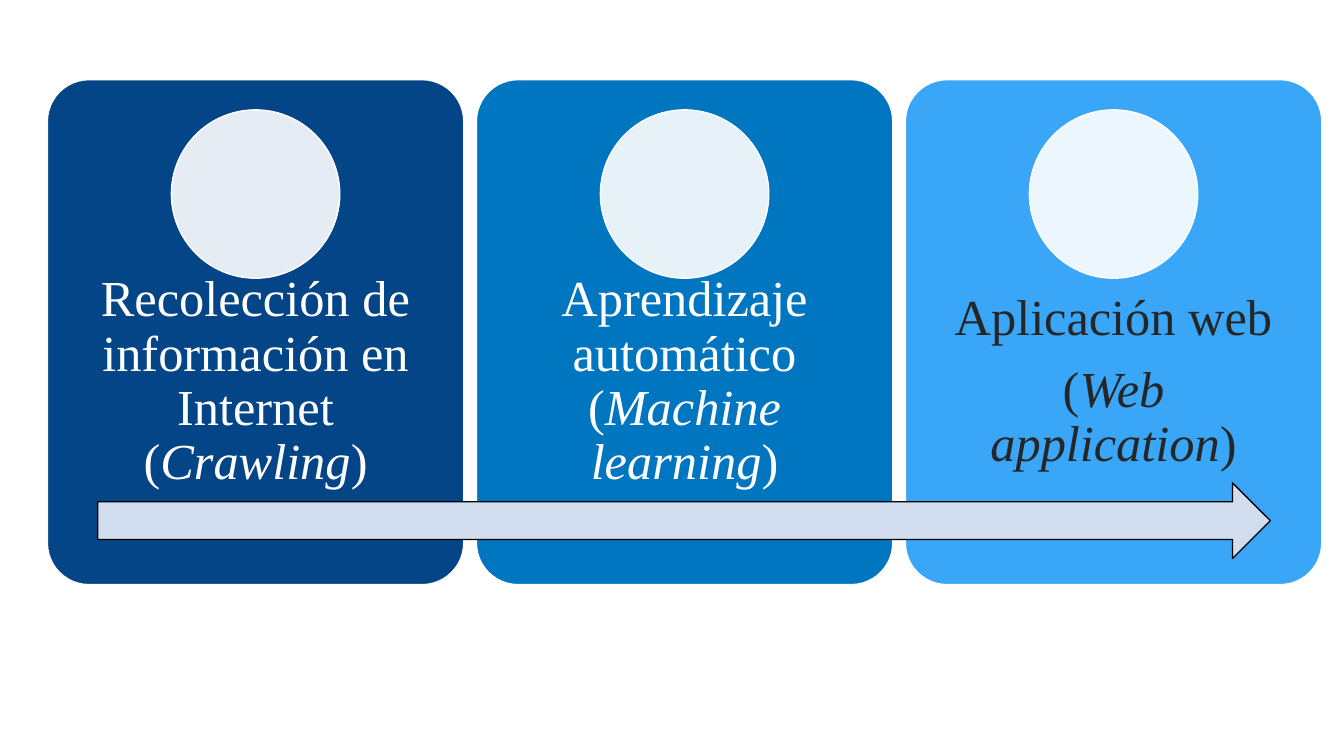
from dataclasses import dataclass

from lxml import etree
from pptx import Presentation
from pptx import util as u
from pptx.dml.color import RGBColor
from pptx.enum import shapes, text
from pptx.oxml.ns import qn


@dataclass(frozen=True)
class Theme:
    font: str = "Times New Roman"
    size: int = 36
    gap: float = 12.6
    white: str = "FFFFFF"
    dark: str = "262626"
    black: str = "000000"
    navy: str = "034587"
    blue: str = "0076C1"
    sky: str = "3AA6F8"
    pale: str = "D2DEEF"


THEME = Theme()
KIND = shapes.MSO_SHAPE

# Each step: card fill, text colour, paragraphs of (text, italic) runs
STEPS = [
    (THEME.navy, THEME.white,
     [[("Recolección de información en Internet (", False),
       ("Crawling", True), (")", False)]]),
    (THEME.blue, THEME.white,
     [[("Aprendizaje automático (", False),
       ("Machine learning", True), (")", False)]]),
    (THEME.sky, THEME.dark,
     [[("Aplicación web", False)],
      [("(", False), ("Web application", True), (")", False)]]),
]


def apply(item, values):
    for name, value in values.items():
        setattr(item, name, value)


def add_form(parts, kind, box, fill, line):
    form = parts.add_shape(kind, *map(u.Inches, box))
    form.shadow.inherit = False
    form.fill.solid()
    form.fill.fore_color.rgb = RGBColor.from_string(fill)
    form.line.color.rgb = RGBColor.from_string(line)
    form.line.width = u.Pt(1)
    return form


def add_label(parts, box, paras, color):
    frame = parts.add_textbox(*map(u.Inches, box)).text_frame
    pad = u.Inches(0.28)
    apply(frame, {"word_wrap": True,
                  "vertical_anchor": text.MSO_ANCHOR.MIDDLE,
                  "margin_left": pad, "margin_right": pad,
                  "margin_top": pad, "margin_bottom": pad})
    for i, runs in enumerate(paras):
        para = frame.add_paragraph() if i else frame.paragraphs[0]
        apply(para, {"alignment": text.PP_ALIGN.CENTER, "line_spacing": 0.9,
                     "space_after": u.Pt(THEME.gap)})
        for words, slant in runs:
            run = para.add_run()
            run.text = words
            apply(run.font, {"name": THEME.font, "size": u.Pt(THEME.size),
                             "italic": slant})
            run.font.color.rgb = RGBColor.from_string(color)


def add_card(parts, box, step):
    left, top, width, height = box
    fill, color, paras = step
    # Rounded panel
    card = add_form(parts, KIND.ROUNDED_RECTANGLE, box, fill, THEME.white)
    card.adjustments[0] = 0.1
    # Step name
    add_label(parts, (left, top + 2, width, 2), paras, color)
    # Translucent disc
    disc = 1.67
    spot = (left + (width - disc) / 2, top + 0.3, disc, disc)
    dot = add_form(parts, KIND.OVAL, spot, THEME.white, THEME.white)
    tint = dot.fill._xPr.find(qn("a:solidFill"))[0]
    etree.SubElement(tint, qn("a:alpha"), val="90000")


def add_flow(parts, box):
    left, top, width, height = box
    gap = 0.125
    wide = (width - gap * (len(STEPS) - 1)) / len(STEPS)
    # Row of cards
    for i, step in enumerate(STEPS):
        add_card(parts, (left + i * (wide + gap), top, wide, height), step)
    # Arrow across the cards
    add_form(parts, KIND.RIGHT_ARROW, (left + 0.5, top + 4, width - 1.01, 0.75),
             THEME.pale, THEME.black)


def main():
    deck = Presentation()
    apply(deck, {"slide_width": u.Inches(13.33),
                 "slide_height": u.Inches(7.5)})
    slide = deck.slides.add_slide(deck.slide_layouts[6])
    group = slide.shapes.add_group_shape()
    add_flow(group.shapes, (0.47, 0.79, 12.64, 5.01))
    deck.save("out.pptx")


if __name__ == "__main__":
    main()
